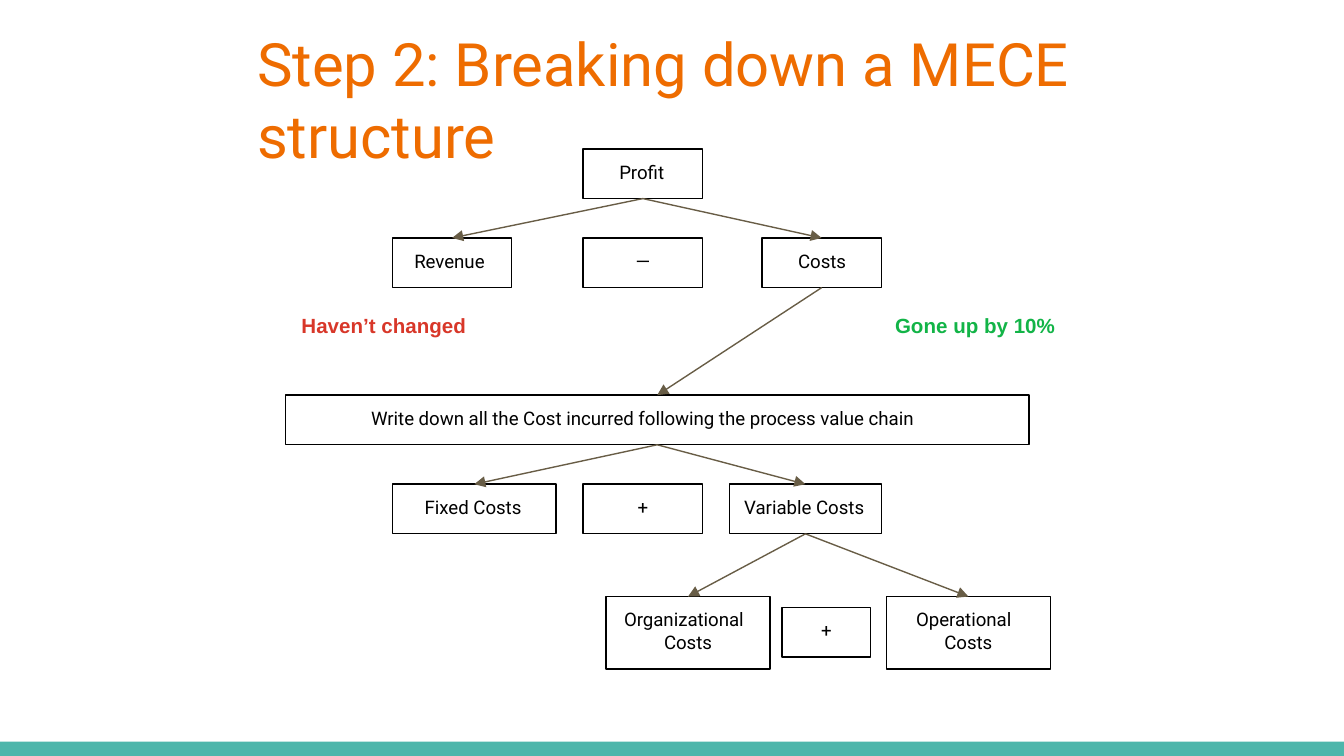
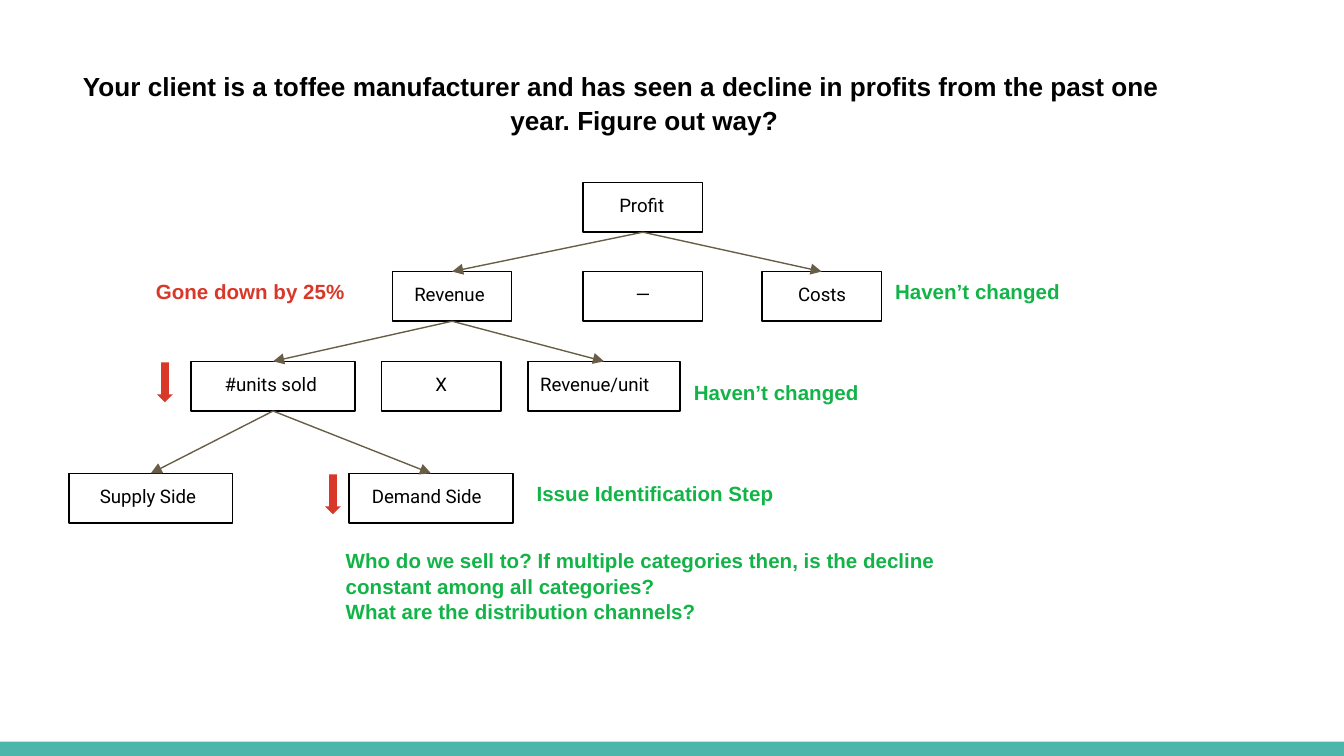
from lxml.etree import SubElement
from pptx import Presentation
from pptx.dml.color import RGBColor
from pptx.enum.shapes import MSO_CONNECTOR as CONN, MSO_SHAPE as SHAPE
from pptx.enum.text import MSO_ANCHOR as ANCHOR, PP_ALIGN as ALIGN
from pptx.oxml.ns import qn
from pptx.util import Pt

W, H = 720, 405
BLACK, TEAL, ORANGE = "000000", "4DB6AB", "EE6C00"
RED, GREEN, BROWN = "D83729", "12B447", "685D46"
LABEL = {"name": "Roboto", "size": Pt(10), "bold": False}
NOTE = {"name": "Arial", "size": Pt(11), "bold": True}
TITLE = {"name": "Roboto", "size": Pt(32), "bold": False}
QUESTION = {"name": "Arial", "size": Pt(14), "bold": True}
BOX_W, BOX_H, WIDE_W, PAIR_W = 64, 26.6, 87.8, 81.4
LEFT_X, MID_X, RIGHT_X = 210.2, 312.4, 408.2
ROW_GAP = 47.7


def rgb(value):
    """Turn a hex string into a colour."""
    return RGBColor.from_string(value)


class Deck:
    """Holds the style and the slide being drawn."""

    def __init__(self):
        """Open an empty presentation."""
        self.prs = Presentation()
        self.prs.slide_width, self.prs.slide_height = Pt(W), Pt(H)
        self.s = None

    def slide(self):
        """Start a slide with the footer band."""
        self.s = self.prs.slides.add_slide(self.prs.slide_layouts[6])
        self.solid(SHAPE.RECTANGLE, 0, 397.4, W, H - 397.4, TEAL)

    def shape(self, kind, x, y, w, h):
        """Add a preset shape without shadow."""
        sp = self.s.shapes.add_shape(kind, Pt(x), Pt(y), Pt(w), Pt(h))
        sp.shadow.inherit = False
        return sp

    def solid(self, kind, x, y, w, h, color):
        """Add a filled shape without outline."""
        sp = self.shape(kind, x, y, w, h)
        sp.fill.solid()
        sp.fill.fore_color.rgb = rgb(color)
        sp.line.fill.background()

    def set_text(self, sp, lines, fmt, color, top=0, indent=0, first=0,
                 align=ALIGN.LEFT, spacing=1.0):
        """Fill a shape with paragraphs in one format."""
        tf = sp.text_frame
        frame = {"word_wrap": True, "vertical_anchor": ANCHOR.TOP,
                 "margin_left": 0, "margin_right": 0,
                 "margin_top": Pt(top), "margin_bottom": 0}
        for key, value in frame.items():
            setattr(tf, key, value)
        for i, line in enumerate(lines):
            p = tf.add_paragraph() if i else tf.paragraphs[0]
            p.alignment, p.line_spacing = align, spacing
            pPr = p._p.get_or_add_pPr()
            pPr.set("marL", str(Pt(indent)))
            pPr.set("indent", str(Pt(first)))
            r = p.add_run()
            r.text = line
            for key, value in fmt.items():
                setattr(r.font, key, value)
            r.font.color.rgb = rgb(color)

    def text(self, x, y, w, h, lines, fmt, color, **layout):
        """Add a text box."""
        sp = self.s.shapes.add_textbox(Pt(x), Pt(y), Pt(w), Pt(h))
        self.set_text(sp, lines, fmt, color, **layout)

    def note(self, x, y, w, color, *lines):
        """Add a bold coloured remark."""
        self.text(x, y, w, 14.6 * len(lines), lines, NOTE, color,
                  top=0.9, indent=0.9, spacing=1.04)

    def box(self, x, y, label, indent=None, w=BOX_W, h=BOX_H, first=0):
        """Add an outlined box, centred unless an indent is given."""
        sp = self.shape(SHAPE.RECTANGLE, x, y, w, h)
        sp.fill.background()
        sp.line.color.rgb = rgb(BLACK)
        sp.line.width = Pt(0.75)
        align = ALIGN.CENTER if indent is None else ALIGN.LEFT
        self.set_text(sp, [label], LABEL, BLACK, top=6.2, indent=indent or 0,
                      first=first, align=align)
        return sp

    def link(self, parent, *children):
        """Draw an arrow from a box down to each of its children."""
        for child in children:
            c = self.s.shapes.add_connector(CONN.STRAIGHT, 0, 0, 0, 0)
            c.begin_connect(parent, 2)
            c.end_connect(child, 0)
            c.line.color.rgb = rgb(BROWN)
            c.line.width = Pt(0.75)
            spPr = c._element.spPr
            SubElement(spPr.find(qn("a:ln")), qn("a:tailEnd"),
                       type="triangle", w="med", len="med")
            SubElement(spPr, qn("a:effectLst"))

    def drop(self, x, y):
        """Add a red arrow that marks a fall."""
        self.solid(SHAPE.DOWN_ARROW, x, y, 8.4, 21.4, RED)

    def profit_tree(self, y):
        """Draw profit as revenue minus costs and return both parts."""
        profit = self.box(MID_X, y, "Proﬁt", 19.4)
        y += ROW_GAP
        revenue = self.box(LEFT_X, y, "Revenue", 11.8)
        costs = self.box(RIGHT_X, y, "Costs", 19.4)
        self.box(MID_X, y, "—")
        self.link(profit, revenue, costs)
        return revenue, costs


def structure_slide(d):
    """Build the cost breakdown."""
    d.slide()
    d.text(136.8, 13, 450, 41, ["Step 2: Breaking down a MECE structure"],
           TITLE, ORANGE, top=1.4, indent=0.9)
    _, costs = d.profit_tree(79.8)
    d.note(160.6, 166.3, 93.6, RED, "Haven’t changed")
    d.note(478.6, 166.3, 88.6, GREEN, "Gone up by 10%")

    y = 211.7
    chain = d.box(152.9, y, "Write down all the Cost incurred following the "
                  "process value chain", 45.9, w=398.4)
    y += ROW_GAP
    fixed = d.box(LEFT_X, y, "Fixed Costs", 17.3, w=WIDE_W)
    variable = d.box(390.8, y, "Variable Costs", 7.9, w=PAIR_W)
    d.box(MID_X, y, "+")

    y = 319.6
    split = [d.box(x, y, label, 31, WIDE_W, 38.8, first)
             for x, label, first in ((324.7, "Organizational Costs", -21.4),
                                     (474.9, "Operational Costs", -15.1))]
    d.box(418.9, y + 5.9, "+", w=47.5)
    d.link(costs, chain)
    d.link(chain, fixed, variable)
    d.link(variable, *split)


def toffee_slide(d):
    """Build the revenue breakdown for the toffee client."""
    d.slide()
    d.text(43.2, 36, 608.4, 35.3,
           ["Your client is a toﬀee manufacturer and has seen a decline in "
            "proﬁts from the past one year. Figure out way?"],
           QUESTION, BLACK, top=0.9, indent=230.2, first=-229, spacing=1.06)
    revenue, _ = d.profit_tree(97.8)
    d.note(82.6, 148.3, 105.1, RED, "Gone down by 25%")
    d.note(478.6, 148.3, 93.6, GREEN, "Haven’t changed")

    y = 193.6
    units = d.box(102.4, y, "#units sold", 18, w=WIDE_W)
    price = d.box(282.9, y, "Revenue/unit", 6.5, w=PAIR_W)
    d.box(204.4, y, "X")
    d.drop(84.2, y + 0.5)
    d.note(370.8, 202.3, 93.6, GREEN, "Haven’t changed")

    y = 253.6
    supply = d.box(36.9, y, "Supply Side", 16.6, w=WIDE_W)
    demand = d.box(187, y, "Demand Side", 12.2, w=WIDE_W)
    d.drop(174.2, y + 0.5)
    d.note(286.6, 256.3, 134.6, GREEN, "Issue Identiﬁcation Step")
    d.note(184.3, 292.3, 329.8, GREEN,
           "Who do we sell to? If multiple categories then, is the decline "
           "constant among all categories?",
           "What are the distribution channels?")
    d.link(revenue, units, price)
    d.link(units, supply, demand)


def main():
    """Build both slides and save them."""
    d = Deck()
    structure_slide(d)
    toffee_slide(d)
    d.prs.save("out.pptx")


if __name__ == "__main__":
    main()
